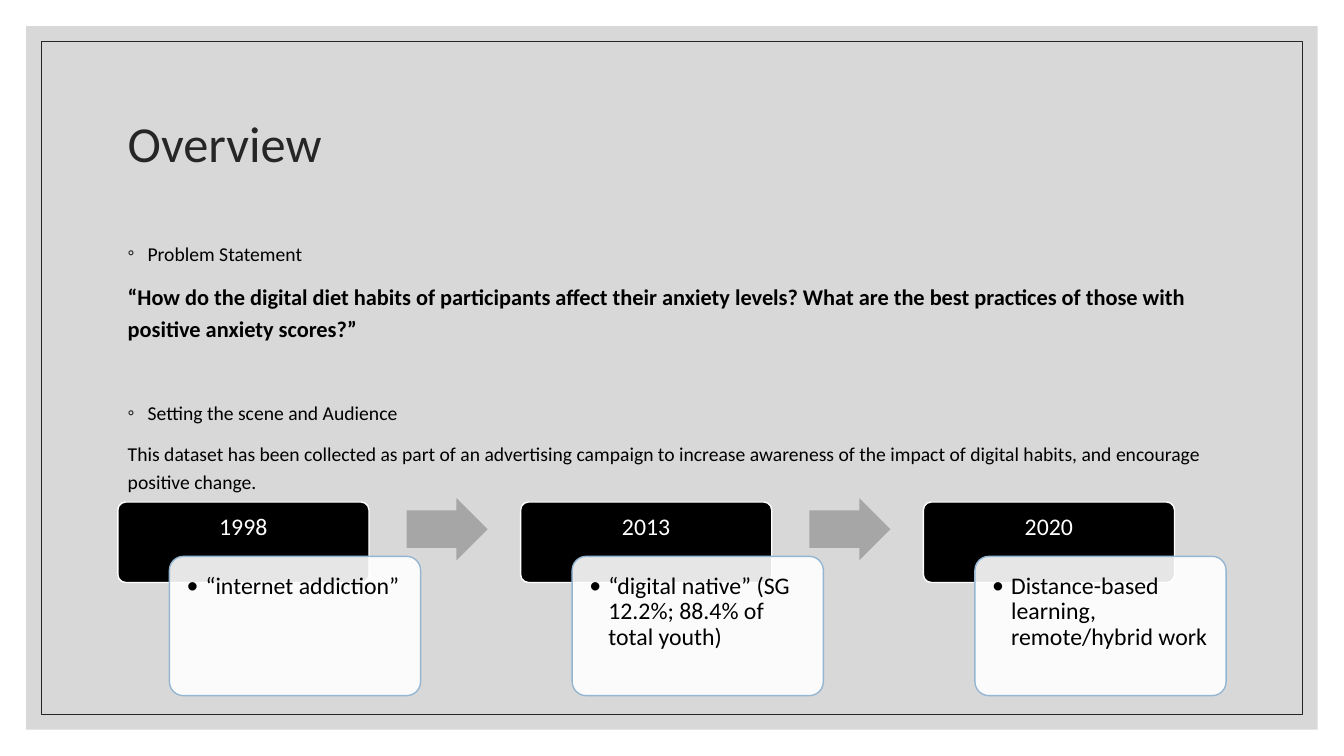
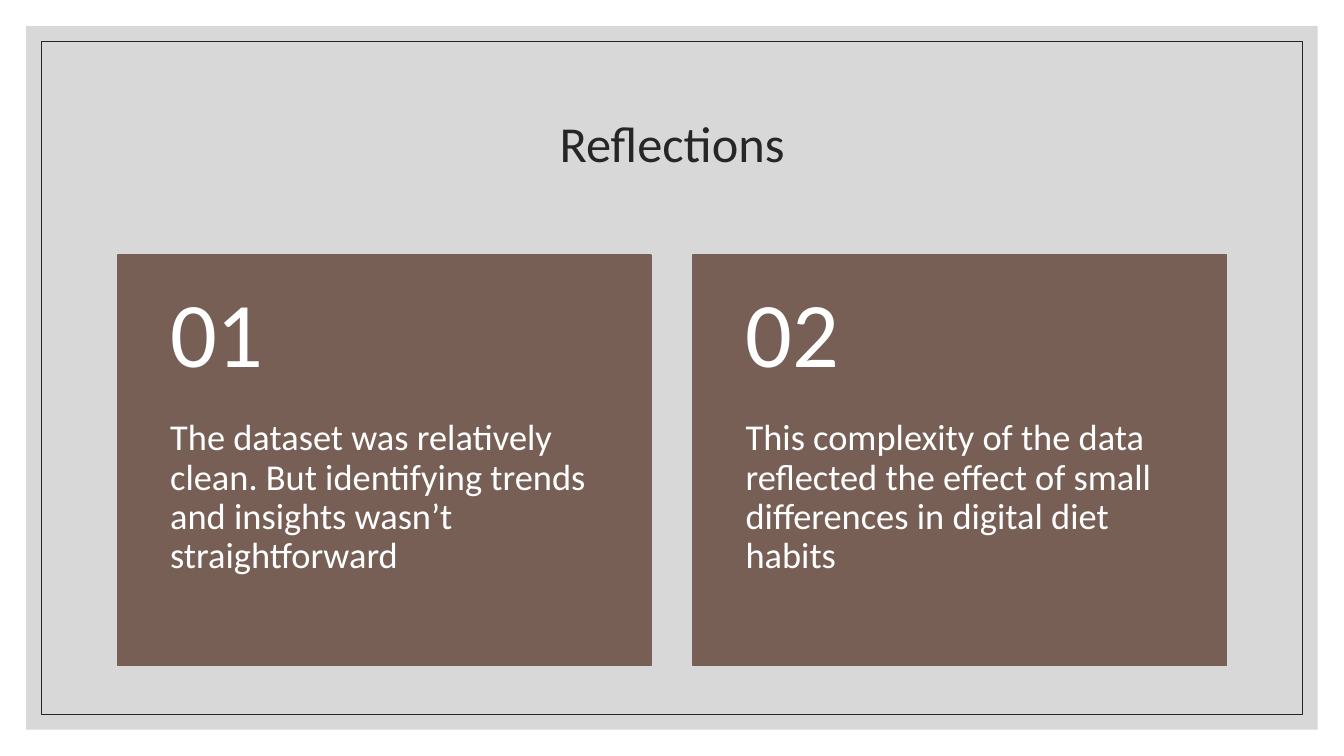
from dataclasses import dataclass

from lxml import etree
from pptx import Presentation
from pptx import util as u
from pptx.dml.color import RGBColor
from pptx.enum import shapes, text
from pptx.oxml import ns

Cm, Pt = u.Cm, u.Pt
SHAPE, ALIGN, ANCHOR = shapes.MSO_SHAPE, text.PP_ALIGN, text.MSO_ANCHOR


@dataclass(frozen=True)
class Theme:
    # Colours
    backdrop: str = "BFBFBF"
    ink: str = "262626"
    black: str = "000000"
    white: str = "FFFFFF"
    arrow: str = "A6A6A6"
    card_line: str = "94B6D2"
    panel: str = "775F55"
    # Type
    font: str = "Calibri"
    title: int = 36
    body: int = 14
    question: int = 16
    step: int = 17
    number: int = 66
    panel_text: int = 26


T = Theme()
WIDTH, HEIGHT = 33.87, 19.05
LEFT, CONTENT = 2.97, 27.94
INSETS = (0.25, 0.13, 0.25, 0.13)


class Deck:
    """Holds the presentation, its style and the current slide."""

    def __init__(self):
        self.prs = Presentation()
        self.prs.slide_width, self.prs.slide_height = Cm(WIDTH), Cm(HEIGHT)
        self.s = None

    def slide(self, title, align=ALIGN.LEFT):
        self.s = self.prs.slides.add_slide(self.prs.slide_layouts[6])
        for margin, style in ((0.66, dict(fill=T.backdrop, alpha=60)),
                              (1.04, dict(line=T.ink, weight=0.5))):
            self.shape(SHAPE.RECTANGLE, margin, margin,
                       WIDTH - 2 * margin, HEIGHT - 2 * margin, **style)
        tf = self.textbox(LEFT, 1.78, CONTENT, 3.81, anchor=ANCHOR.MIDDLE)
        self.add_text(tf, title, T.title, T.ink, align=align)

    def shape(self, kind, x, y, w, h, fill=None, alpha=100, line=None,
              weight=1, adjust=()):
        sp = self.s.shapes.add_shape(kind, Cm(x), Cm(y), Cm(w), Cm(h))
        sp.shadow.inherit = False
        for i, value in enumerate(adjust):
            sp.adjustments[i] = value
        if fill:
            sp.fill.solid()
            sp.fill.fore_color.rgb = RGBColor.from_string(fill)
            if alpha < 100:
                clr = sp.fill._xPr.find(".//" + ns.qn("a:srgbClr"))
                etree.SubElement(clr, ns.qn("a:alpha"), val=str(alpha * 1000))
        else:
            sp.fill.background()
        if line:
            sp.line.color.rgb = RGBColor.from_string(line)
            sp.line.width = Pt(weight)
        else:
            sp.line.fill.background()
        return sp

    def frame(self, sp, insets=INSETS, anchor=ANCHOR.TOP):
        tf = sp.text_frame
        tf.word_wrap = True
        tf.vertical_anchor = anchor
        (tf.margin_left, tf.margin_top,
         tf.margin_right, tf.margin_bottom) = map(Cm, insets)
        return tf

    def textbox(self, x, y, w, h, **style):
        sp = self.s.shapes.add_textbox(Cm(x), Cm(y), Cm(w), Cm(h))
        return self.frame(sp, **style)

    def add_text(self, tf, words, size, color, bold=False, align=ALIGN.LEFT,
                 spacing=0.9, before=0, bullet=None, indent=0.5):
        # The first call fills the empty paragraph, later calls add one
        p = tf.add_paragraph() if tf.text else tf.paragraphs[0]
        p.text = words
        p.alignment, p.line_spacing = align, spacing
        p.space_before = Pt(before)
        font = p.runs[0].font
        font.name, font.size, font.bold = T.font, Pt(size), bold
        font.color.rgb = RGBColor.from_string(color)
        if bullet:
            char, bullet_color = bullet
            pPr = p._p.get_or_add_pPr()
            pPr.set("marL", str(Cm(indent)))
            pPr.set("indent", str(-Cm(indent)))
            clr = etree.SubElement(pPr, ns.qn("a:buClr"))
            etree.SubElement(clr, ns.qn("a:srgbClr"), val=bullet_color)
            etree.SubElement(pPr, ns.qn("a:buFont"), typeface=T.font)
            etree.SubElement(pPr, ns.qn("a:buChar"), char=char)

    def step(self, x, y, year, event):
        w = 6.33
        head = self.shape(SHAPE.ROUNDED_RECTANGLE, x, y, w, 2.03,
                          fill=T.black, line=T.white, adjust=(0.1,))
        self.add_text(self.frame(head, (0.27, 0.27, 0.27, 0.1)), year,
                      T.step, T.white, align=ALIGN.CENTER)
        card = self.shape(SHAPE.ROUNDED_RECTANGLE, x + 1.3, y + 1.37, w, 3.51,
                          fill=T.white, alpha=90, line=T.card_line,
                          adjust=(0.1,))
        self.add_text(self.frame(card, (0.33, 0.33, 0.23, 0.33)), event,
                      T.step, T.black, bullet=("•", T.black), indent=0.48)

    def panel(self, x, y, w, h, number, words):
        top, side = 4.14, 1.32
        sp = self.shape(SHAPE.RECTANGLE, x, y, w, h, fill=T.panel, line=T.panel)
        self.add_text(self.frame(sp, (side, top, side, 0.91)), words,
                      T.panel_text, T.white)
        tf = self.textbox(x, y, w, top, insets=(side, 0.46, side, 0.46),
                          anchor=ANCHOR.MIDDLE)
        self.add_text(tf, number, T.number, T.white)


def overview(deck):
    deck.slide("Overview")

    # Problem and audience
    tf = deck.textbox(LEFT, 5.84, CONTENT, 10.69)
    dot = ("◦", T.ink)
    for words, style in (
        ("Problem Statement", dict(bullet=dot)),
        ("“How do the digital diet habits of participants affect their anxiety "
         "levels? What are the best practices of those with positive anxiety "
         "scores?”", dict(size=T.question, bold=True)),
        ("Setting the scene and Audience", dict(bullet=dot, before=38.5)),
        ("This dataset has been collected as part of an advertising campaign "
         "to increase awareness of the impact of digital habits, and encourage "
         "positive change.", {}),
    ):
        base = dict(size=T.body, color=T.black, spacing=1.2, before=9)
        deck.add_text(tf, words, **{**base, **style})

    # Timeline
    steps = (("1998", "“internet addiction”"),
             ("2013", "“digital native” (SG 12.2%; 88.4% of total youth)"),
             ("2020", "Distance-based learning, remote/hybrid work"))
    pitch, y = 10.15, 12.65
    for i, (year, event) in enumerate(steps):
        x = LEFT + i * pitch
        deck.step(x, y, year, event)
        if i < len(steps) - 1:
            deck.shape(SHAPE.RIGHT_ARROW, x + 7.28, y - 0.1, 2.04, 1.57,
                       fill=T.arrow, adjust=(0.6, 0.5))


def reflections(deck):
    deck.slide("Reflections", ALIGN.CENTER)

    # Numbered panels
    w = 13.44
    panels = ("The dataset was relatively clean. But identifying trends and "
              "insights wasn’t straightforward",
              "This complexity of the data reflected the effect of small "
              "differences in digital diet habits")
    for i, words in enumerate(panels):
        deck.panel(LEFT + i * (CONTENT - w), 6.43, w, 10.34,
                   f"{i + 1:02}", words)


def main():
    deck = Deck()
    overview(deck)
    reflections(deck)
    deck.prs.save("out.pptx")


if __name__ == "__main__":
    main()
